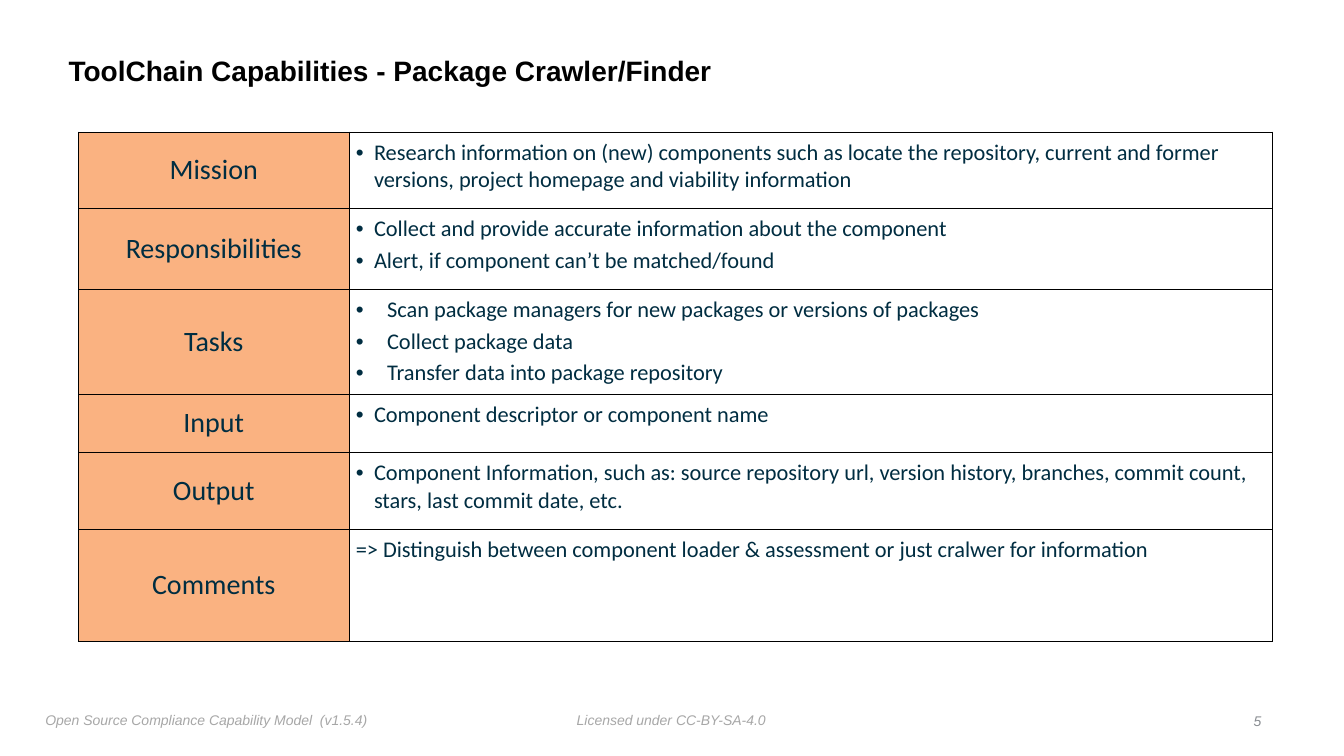
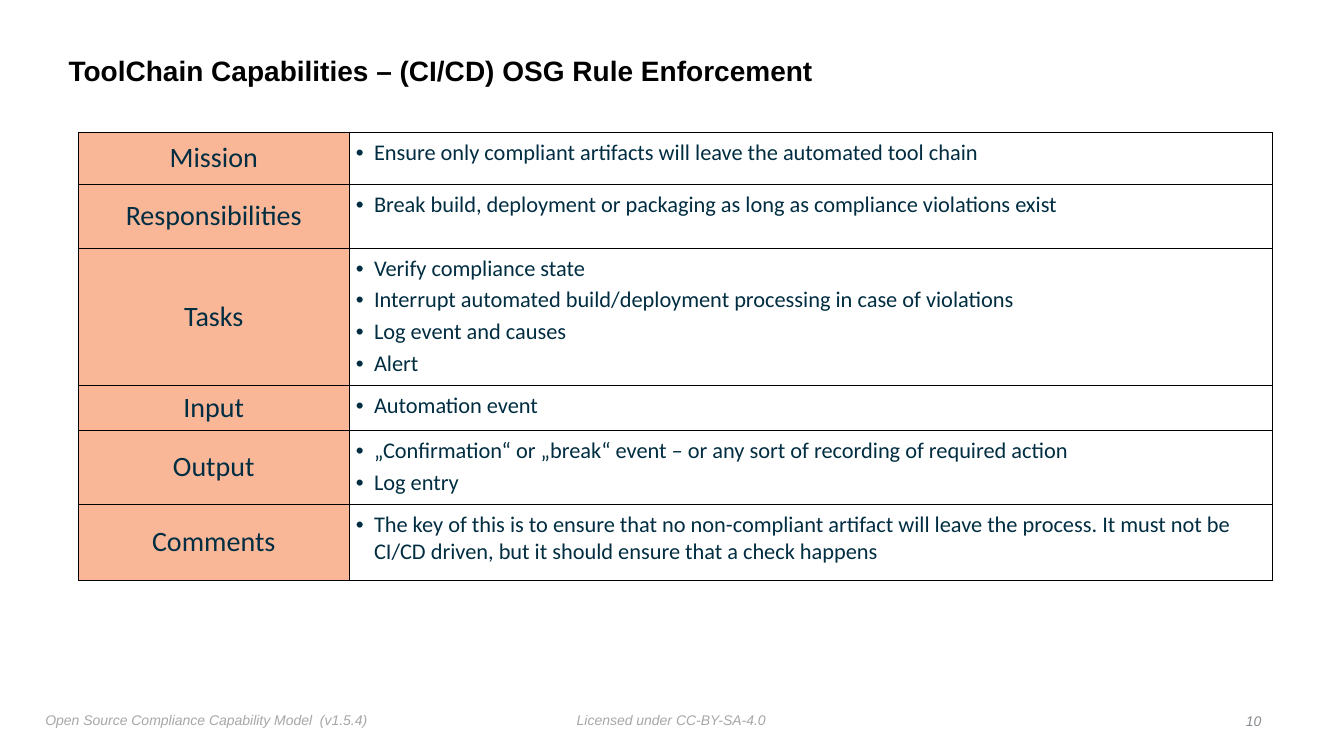
"""Build two capability slides, each with a titled two-column table."""
import dataclasses

import lxml.etree
import pptx
import pptx.dml.color
import pptx.enum.text
import pptx.oxml.ns
import pptx.util

Inches, Pt = pptx.util.Inches, pptx.util.Pt
RGB = pptx.dml.color.RGBColor.from_string
ALIGN = pptx.enum.text.PP_ALIGN
ANCHOR = pptx.enum.text.MSO_ANCHOR
qn = pptx.oxml.ns.qn


@dataclasses.dataclass(frozen=True)
class Theme:
    heading_font: str = "Arial"
    table_font: str = "Calibri"
    black: str = "000000"
    navy: str = "002D41"
    footer_gray: str = "A7A7A7"
    number_gray: str = "888C91"
    large: int = 20
    body: int = 16
    small: int = 10
    space: int = 3
    border: float = 0.5
    inset: float = 0.05
    cell_inset: float = 0.07


THEME = Theme()
SLIDE_SIZE = (13.33, 7.5)
TITLE_BOX = (0.63, 0.39, 10.75, 0.65)
NUMBER_BOX = (11.56, 7.03, 1, 0.25)
TABLE_ORIGIN = (0.78, 1.31)
COLUMNS = (2.68, 9.16)
LABELS = ("Mission", "Responsibilities", "Tasks", "Input", "Output", "Comments")
FOOTERS = (
    ("Licensed under CC-BY-SA-4.0", (5.67, 7.01, 2.5, 0.25)),
    ("Open Source Compliance Capability Model  (v1.5.4)", (0.4, 7.01, 4, 0.25)),
)
BULLET, WIDE_BULLET, PLAIN = (0.18, "•"), (0.31, "•"), (0.07, None)

SLIDES = (
    {
        "title": "ToolChain Capabilities - Package Crawler/Finder",
        "number": 5,
        "label_fill": "FAB281",
        "rows": (
            (0.76, BULLET, (
                "Research information on (new) components such as locate the repository, "
                "current and former versions, project homepage and viability information",
            )),
            (0.8, BULLET, (
                "Collect and provide accurate information about the component",
                "Alert, if component can’t be matched/found",
            )),
            (1.04, WIDE_BULLET, (
                "Scan package managers for new packages or versions of packages",
                "Collect package data",
                "Transfer data into package repository",
            )),
            (0.58, BULLET, ("Component descriptor or component name",)),
            (0.76, BULLET, (
                "Component Information, such as: source repository url, version history, "
                "branches, commit count, stars, last commit date, etc.",
            )),
            (1.11, PLAIN, (
                "=> Distinguish between component loader & assessment or just cralwer "
                "for information",
            )),
        ),
    },
    {
        "title": "ToolChain Capabilities – (CI/CD) OSG Rule Enforcement",
        "number": 10,
        "label_fill": "FAB798",
        "rows": (
            (0.52, BULLET, (
                "Ensure only compliant artifacts will leave the automated tool chain",
            )),
            (0.63, BULLET, (
                "Break build, deployment or packaging as long as compliance violations exist",
            )),
            (1.36, BULLET, (
                "Verify compliance state",
                "Interrupt automated build/deployment processing in case of violations",
                "Log event and causes",
                "Alert",
            )),
            (0.45, BULLET, ("Automation event",)),
            (0.73, BULLET, (
                "„Confirmation“ or „break“ event – or any sort of recording of required action",
                "Log entry",
            )),
            (0.76, BULLET, (
                "The key of this is to ensure that no non-compliant artifact will leave the "
                "process. It must not be CI/CD driven, but it should ensure that a check happens",
            )),
        ),
    },
)


def style_text(p, font, size, color, bold=False, italic=False):
    for r in p.runs:
        r.font.name, r.font.size = font, Pt(size)
        r.font.color.rgb = RGB(color)
        r.font.bold, r.font.italic = bold, italic


def set_insets(target, inset):
    for side in ("left", "right", "top", "bottom"):
        setattr(target, f"margin_{side}", Inches(inset))


def add_text(s, text, box, size, color, anchor=ANCHOR.TOP, align=ALIGN.LEFT, **style):
    tf = s.shapes.add_textbox(*map(Inches, box)).text_frame
    tf.word_wrap, tf.vertical_anchor = True, anchor
    set_insets(tf, THEME.inset)
    tf.text = text
    p = tf.paragraphs[0]
    p.alignment = align
    style_text(p, THEME.heading_font, size, color, **style)
    return p


def set_indent(p, indent, bullet):
    pPr = p._p.get_or_add_pPr()
    pPr.set("marL", str(Inches(indent)))
    pPr.set("indent", str(-Inches(indent)))
    if bullet:
        lxml.etree.SubElement(pPr, qn("a:buFont"), typeface=THEME.heading_font)
        lxml.etree.SubElement(pPr, qn("a:buChar"), char=bullet)
    else:
        lxml.etree.SubElement(pPr, qn("a:buNone"))


def set_borders(cell):
    tcPr = cell._tc.get_or_add_tcPr()
    for i, side in enumerate("LRTB"):
        line = lxml.etree.Element(qn(f"a:ln{side}"), w=str(Pt(THEME.border)))
        fill = lxml.etree.SubElement(line, qn("a:solidFill"))
        lxml.etree.SubElement(fill, qn("a:srgbClr"), val=THEME.black)
        tcPr.insert(i, line)


def fill_label(cell, label, color):
    set_insets(cell, 0)
    cell.vertical_anchor = ANCHOR.MIDDLE
    cell.fill.solid()
    cell.fill.fore_color.rgb = RGB(color)
    cell.text_frame.text = label
    p = cell.text_frame.paragraphs[0]
    p.alignment = ALIGN.CENTER
    style_text(p, THEME.table_font, THEME.large, THEME.navy)


def fill_details(cell, lines, indent, bullet):
    set_insets(cell, THEME.cell_inset)
    cell.fill.background()
    cell.text_frame.text = "\n".join(lines)
    for i, p in enumerate(cell.text_frame.paragraphs):
        set_indent(p, indent, bullet)
        p.space_before = Pt(THEME.space if i else 0)
        style_text(p, THEME.table_font, THEME.body, THEME.navy)


def add_capability_table(s, rows, label_fill):
    size = (sum(COLUMNS), sum(row[0] for row in rows))
    table = s.shapes.add_table(
        len(rows), len(COLUMNS), *map(Inches, TABLE_ORIGIN + size)
    ).table
    table.first_row = table.horz_banding = False
    for column, width in zip(table.columns, COLUMNS):
        column.width = Inches(width)
    for row, label, (height, marker, lines) in zip(table.rows, LABELS, rows):
        row.height = Inches(height)
        label_cell, detail_cell = row.cells
        fill_label(label_cell, label, label_fill)
        fill_details(detail_cell, lines, *marker)
        set_borders(label_cell)
        set_borders(detail_cell)


def add_capability_slide(prs, content):
    s = prs.slides.add_slide(prs.slide_layouts[6])
    for text, box in FOOTERS:
        add_text(s, text, box, THEME.small, THEME.footer_gray, italic=True)
    title = add_text(s, content["title"], TITLE_BOX, THEME.large, THEME.black,
                     ANCHOR.MIDDLE, bold=True)
    title.line_spacing = 0.9
    add_capability_table(s, content["rows"], content["label_fill"])
    add_text(s, str(content["number"]), NUMBER_BOX, THEME.small, THEME.number_gray,
             ANCHOR.MIDDLE, ALIGN.RIGHT, italic=True)


def main():
    prs = pptx.Presentation()
    prs.slide_width, prs.slide_height = map(Inches, SLIDE_SIZE)
    for content in SLIDES:
        add_capability_slide(prs, content)
    prs.save("out.pptx")


if __name__ == "__main__":
    main()
